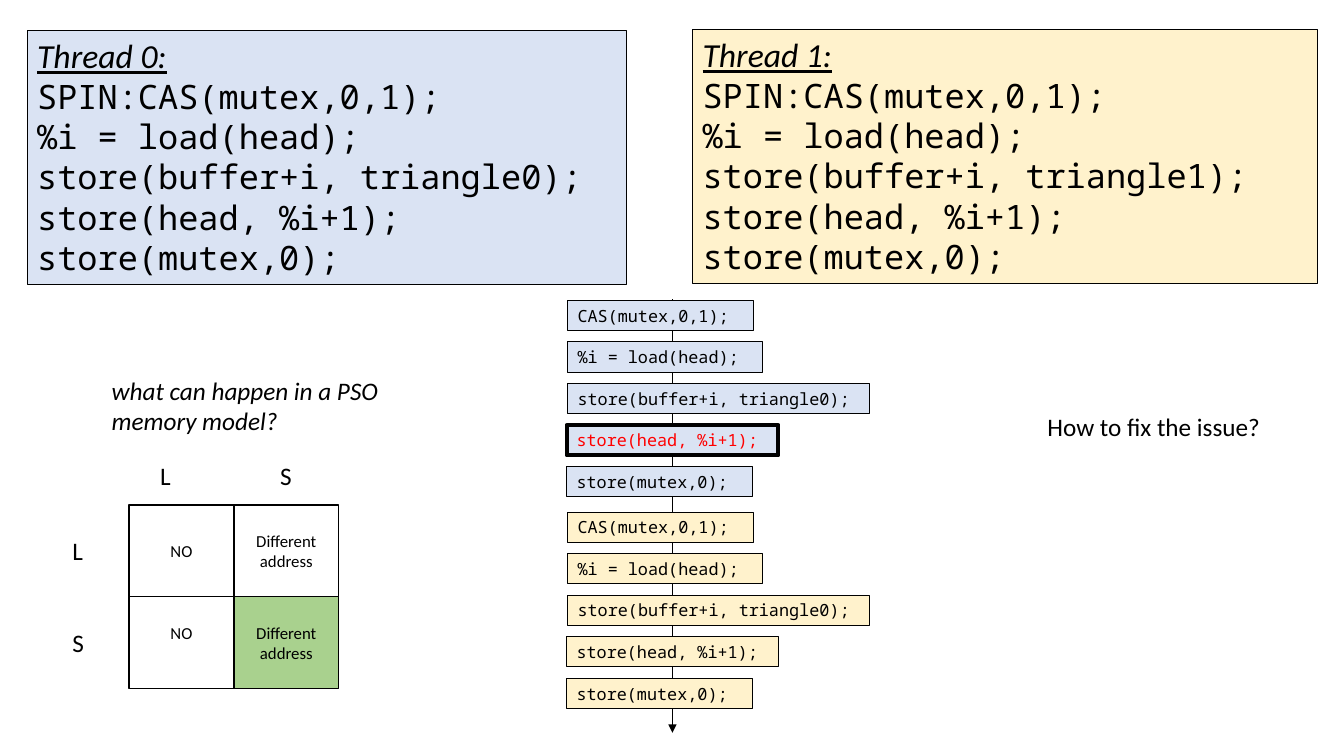
from dataclasses import dataclass

from lxml import etree
from pptx import Presentation
from pptx.dml.color import RGBColor
from pptx.enum import shapes, text
from pptx.oxml import ns
from pptx.util import Inches, Pt

SANS, MONO = "Calibri", "Noto Sans Mono"
BLACK, WHITE, RED = "000000", "FFFFFF", "FF0000"
BLUE, YELLOW, GREEN = "DAE3F3", "FFF2CC", "A9D18E"


@dataclass
class Box:
    left: float
    top: float
    width: float
    height: float
    lines: list[str]
    fill: str | None = None
    border: float = 0.75
    bottom_inset: float = 0.05


@dataclass
class Thread:
    number: int
    left: float
    top: float
    width: float
    fill: str
    steps_top: float


@dataclass
class Step:
    code: str
    left: float
    width: float


THREADS = [
    Thread(0, 0.27, 0.3, 5.94, BLUE, 2.98),
    Thread(1, 6.87, 0.29, 6.2, YELLOW, 5.08),
]
STEPS = [
    Step("CAS(mutex,0,1);", 5.63, 1.84),
    Step("%i = load(head);", 5.63, 1.93),
    Step("store(buffer+i, triangle0);", 5.63, 2.99),
    Step("store(head, %i+1);", 5.62, 2.1),
    Step("store(mutex,0);", 5.62, 1.84),
]
STEP_PITCH = 1.65 / 4
REORDERED = (0, 3)  # thread and step of the highlighted store

GRID_LEFT, GRID_TOP, CELL_WIDTH, CELL_HEIGHT = 1.28, 5.01, 1.04, 0.91
LABELS = [
    Box(1.49, 4.52, 0.31, 0.4, ["L"]),
    Box(2.68, 4.52, 0.32, 0.4, ["S"]),
    Box(0.62, 5.26, 0.31, 0.4, ["L"]),
    Box(0.62, 6.17, 0.32, 0.4, ["S"]),
    Box(10.29, 4.03, 2.34, 0.4, ["How to fix the issue?"]),
]
QUESTION = Box(1.01, 3.67, 2.87, 0.71, ["what can happen in a PSO\vmemory model?"])


def color(value: str) -> RGBColor:
    return RGBColor.from_string(value)


def format_font(font, name: str, size: float, ink: str = BLACK, **extra) -> None:
    for key, value in {"name": name, "size": Pt(size), **extra}.items():
        setattr(font, key, value)
    font.color.rgb = color(ink)


def add_box(slide, box: Box, name: str, size: float, ink: str = BLACK,
            centered: bool = False, **extra):
    """Add a filled rectangle, or a plain text box when there is no fill."""
    place = [Inches(value) for value in (box.left, box.top, box.width, box.height)]
    if box.fill:
        shape = slide.shapes.add_shape(shapes.MSO_SHAPE.RECTANGLE, *place)
        shape.shadow.inherit = False
        shape.fill.solid()
        shape.fill.fore_color.rgb = color(box.fill)
        shape.line.color.rgb = color(BLACK)
        shape.line.width = Pt(box.border)
    else:
        shape = slide.shapes.add_textbox(*place)
    frame = shape.text_frame
    frame.text = "\n".join(box.lines)
    frame_format = {
        "word_wrap": box.fill is not None,
        "vertical_anchor": text.MSO_ANCHOR.MIDDLE if centered else text.MSO_ANCHOR.TOP,
        "margin_bottom": Inches(box.bottom_inset),
    }
    for key, value in frame_format.items():
        setattr(frame, key, value)
    for paragraph in frame.paragraphs:
        paragraph.alignment = text.PP_ALIGN.CENTER if centered else text.PP_ALIGN.LEFT
        for run in paragraph.runs:
            format_font(run.font, name, size, ink, **extra)
    return shape


def add_time_arrow(slide) -> None:
    arrow = slide.shapes.add_connector(
        shapes.MSO_CONNECTOR.STRAIGHT,
        Inches(6.67), Inches(2.97), Inches(6.67), Inches(7.27))
    arrow.line.color.rgb = color(BLACK)
    arrow.line.width = Pt(0.5)
    etree.SubElement(arrow.line._get_or_add_ln(), ns.qn("a:tailEnd"), type="triangle")
    etree.SubElement(arrow._element.spPr, ns.qn("a:effectLst"))


def add_thread_code(slide, thread: Thread) -> None:
    lines = [
        f"Thread {thread.number}:",
        "SPIN:CAS(mutex,0,1);",
        "%i = load(head);",
        f"store(buffer+i, triangle{thread.number});",
        "store(head, %i+1);",
        "store(mutex,0);",
    ]
    box = Box(thread.left, thread.top, thread.width, 2.52, lines, thread.fill)
    shape = add_box(slide, box, MONO, 24)
    heading = shape.text_frame.paragraphs[0].runs[0]
    format_font(heading.font, SANS, 24, italic=True, underline=True)


def add_thread_steps(slide, thread: Thread) -> None:
    for index, step in enumerate(STEPS):
        highlighted = (thread.number, index) == REORDERED
        box = Box(step.left, thread.steps_top + index * STEP_PITCH, step.width, 0.3,
                  [step.code], thread.fill, 3 if highlighted else 0.75)
        add_box(slide, box, MONO, 12, RED if highlighted else BLACK)


def add_reordering_grid(slide) -> None:
    for column, words in ((1, "Different address"), (0, "NO")):
        for row in range(2):
            box = Box(GRID_LEFT + column * CELL_WIDTH, GRID_TOP + row * CELL_HEIGHT,
                      CELL_WIDTH, CELL_HEIGHT, [words],
                      GREEN if row and column else WHITE, 1,
                      0.25 if row and not column else 0.05)
            add_box(slide, box, SANS, 12, centered=True)


def main() -> None:
    presentation = Presentation()
    presentation.slide_width = Inches(13.33)
    presentation.slide_height = Inches(7.5)
    slide = presentation.slides.add_slide(presentation.slide_layouts[6])
    add_time_arrow(slide)
    for thread in THREADS:
        add_thread_code(slide, thread)
    for thread in THREADS:
        add_thread_steps(slide, thread)
    add_reordering_grid(slide)
    for label in LABELS:
        add_box(slide, label, SANS, 18)
    add_box(slide, QUESTION, SANS, 18, italic=True)
    presentation.save("out.pptx")


if __name__ == "__main__":
    main()
